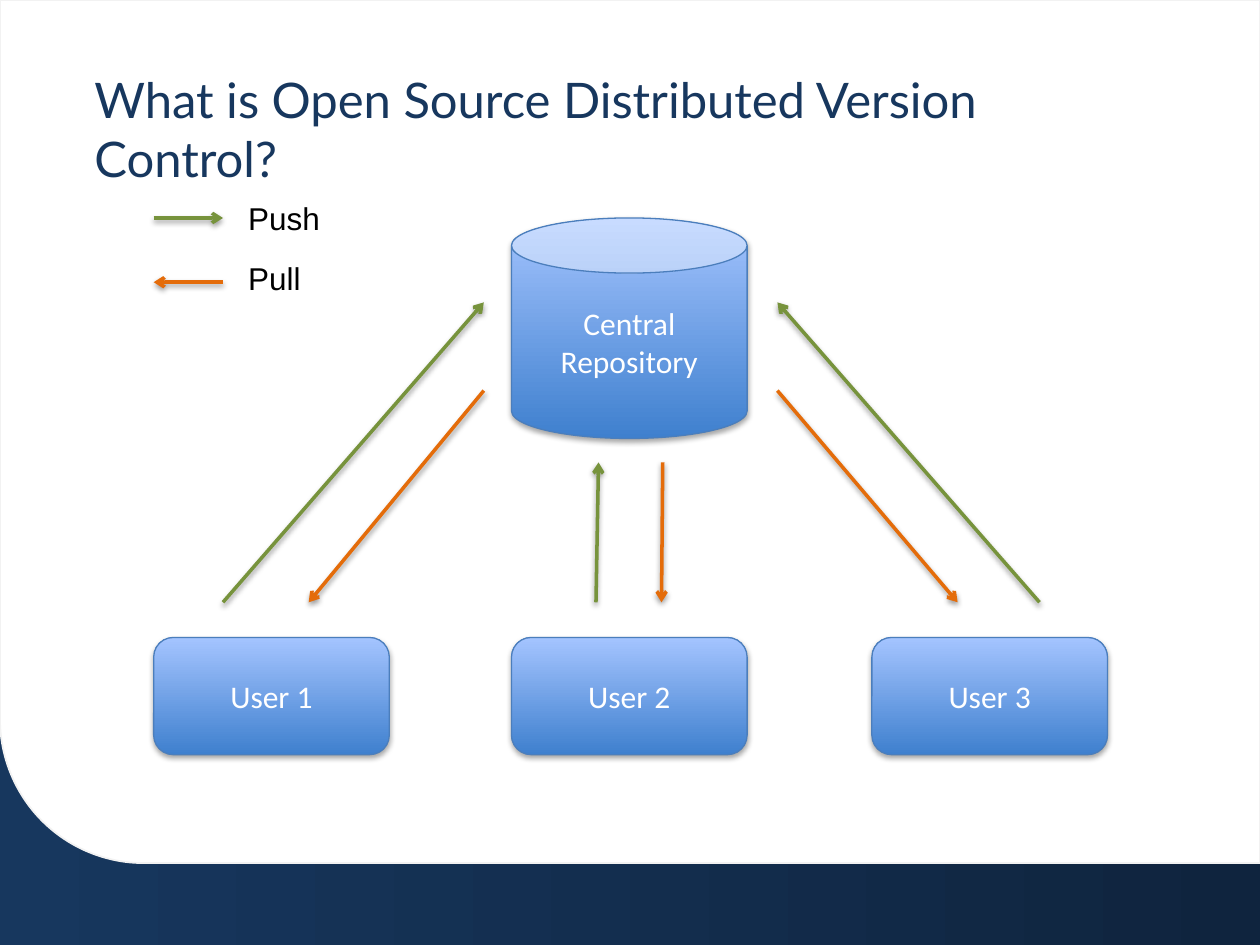
import dataclasses

import lxml.etree
import pptx
import pptx.dml.color
import pptx.enum.shapes
import pptx.enum.text
import pptx.oxml
import pptx.oxml.ns
import pptx.util
from pptx.util import Inches

SHAPES = pptx.enum.shapes.MSO_SHAPE


@dataclasses.dataclass(frozen=True)
class Theme:
    navy: str = "17375E"
    midnight: str = "0F243E"
    panel: str = "FFFFFF"
    panel_edge: str = "F2F2F2"
    node_bottom: str = "3F80CE"
    node_top: str = "A4C4FF"
    node_edge: str = "4B7EBC"
    node_text: str = "FFFFFF"
    legend_text: str = "000000"
    push: str = "77933C"
    pull: str = "E46C0A"
    title_font: str = "Lato"
    node_font: str = "Calibri"
    legend_font: str = "Arial"
    title_size: int = 28
    body_size: int = 18


THEME = Theme()


def rgb(color):
    return pptx.dml.color.RGBColor.from_string(color)


def set_gradient(fill, start, end, angle):
    fill.gradient()
    fill.gradient_angle = angle
    for stop, position, color in zip(fill.gradient_stops, (0, 1), (start, end)):
        stop.position = position
        stop.color.rgb = rgb(color)


def set_line(line, color, width):
    line.color.rgb = rgb(color)
    line.width = pptx.util.Pt(width)


def add_shadow(item, distance, opacity):
    effects = lxml.etree.SubElement(
        item._element.spPr, pptx.oxml.ns.qn("a:effectLst"))
    effects.append(pptx.oxml.parse_xml(
        f'<a:outerShdw {pptx.oxml.ns.nsdecls("a")} blurRad="40000" '
        f'dist="{distance}" dir="5400000" rotWithShape="0">'
        f'<a:srgbClr val="000000"><a:alpha val="{opacity * 1000}"/></a:srgbClr>'
        '</a:outerShdw>'))


def write(frame, lines, font, size, color, align=None):
    frame.word_wrap = True
    for index, line in enumerate(lines):
        paragraph = frame.paragraphs[0] if index == 0 else frame.add_paragraph()
        paragraph.text = line
        paragraph.alignment = align
        paragraph.font.name = font
        paragraph.font.size = pptx.util.Pt(size)
        paragraph.font.color.rgb = rgb(color)


def add_panel(slide):
    panel = slide.shapes.add_shape(
        SHAPES.ROUND_1_RECTANGLE, 0, 0, Inches(10), Inches(6.85))
    panel.rotation = 180
    panel.shadow.inherit = False
    panel.fill.solid()
    panel.fill.fore_color.rgb = rgb(THEME.panel)
    set_line(panel.line, THEME.panel_edge, 1)


def add_title(slide, title):
    frame = slide.shapes.add_textbox(
        Inches(0.75), Inches(0.55), Inches(8.53), Inches(0.58)).text_frame
    frame.margin_left = frame.margin_right = 0
    frame.margin_top = frame.margin_bottom = 0
    write(frame, [title], THEME.title_font, THEME.title_size, THEME.navy)


def add_node(slide, kind, left, top, height, lines):
    node = slide.shapes.add_shape(
        kind, Inches(left), Inches(top), Inches(1.87), Inches(height))
    set_gradient(node.fill, THEME.node_bottom, THEME.node_top, 90)
    set_line(node.line, THEME.node_edge, 0.75)
    add_shadow(node, 23000, 35)
    node.text_frame.vertical_anchor = pptx.enum.text.MSO_ANCHOR.MIDDLE
    write(node.text_frame, lines, THEME.node_font, THEME.body_size,
          THEME.node_text, pptx.enum.text.PP_ALIGN.CENTER)


def add_arrow(slide, start, end, color):
    arrow = slide.shapes.add_connector(
        pptx.enum.shapes.MSO_CONNECTOR.STRAIGHT,
        *(Inches(value) for value in (*start, *end)))
    set_line(arrow.line, color, 2)
    lxml.etree.SubElement(
        arrow.line._ln, pptx.oxml.ns.qn("a:tailEnd"), type="arrow")
    add_shadow(arrow, 20000, 38)


def add_legend_label(slide, top, label):
    box = slide.shapes.add_textbox(
        Inches(1.87), Inches(top), Inches(1.08), Inches(0.4))
    box.text_frame.auto_size = pptx.enum.text.MSO_AUTO_SIZE.SHAPE_TO_FIT_TEXT
    write(box.text_frame, [label], THEME.legend_font, THEME.body_size,
          THEME.legend_text)


def main():
    deck = pptx.Presentation()
    deck.slide_width, deck.slide_height = Inches(10), Inches(7.5)
    slide = deck.slides.add_slide(deck.slide_layouts[6])
    set_gradient(slide.background.fill, THEME.navy, THEME.midnight, 0)

    add_panel(slide)
    add_title(slide, "What is Open Source Distributed Version Control?")

    for number, left in enumerate((1.22, 4.06, 6.92), start=1):
        add_node(slide, SHAPES.ROUNDED_RECTANGLE, left, 5.06, 0.93,
                 [f"User {number}"])
    add_node(slide, SHAPES.CAN, 4.06, 1.73, 1.75, ["Central", "Repository"])

    user_edge = 4.78
    pulls = [((3.84, 3.1), 2.45), ((5.26, 3.67), 5.25), ((6.17, 3.1), 7.6)]
    pushes = [(1.77, (3.84, 2.4)), (4.73, (4.75, 3.67)), (8.25, (6.17, 2.4))]
    for repository_point, user_x in pulls:
        add_arrow(slide, repository_point, (user_x, user_edge), THEME.pull)
    for user_x, repository_point in pushes:
        add_arrow(slide, (user_x, user_edge), repository_point, THEME.push)

    add_arrow(slide, (1.22, 1.73), (1.77, 1.73), THEME.push)
    add_arrow(slide, (1.77, 2.24), (1.22, 2.24), THEME.pull)
    add_legend_label(slide, 1.53, "Push")
    add_legend_label(slide, 2.01, "Pull")

    deck.save("out.pptx")


if __name__ == "__main__":
    main()
